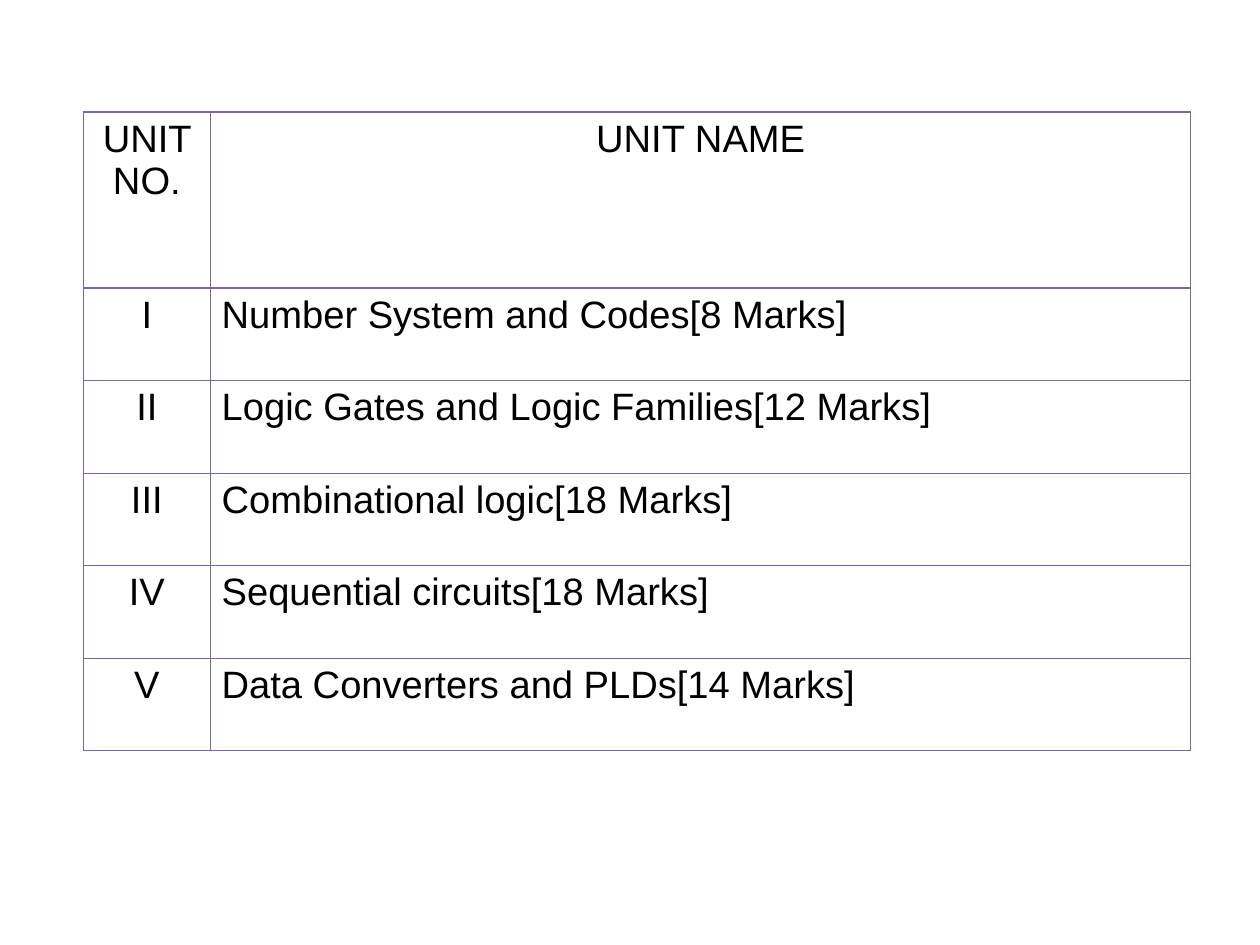
from dataclasses import dataclass

from lxml.etree import SubElement
from pptx import Presentation
from pptx.dml.color import RGBColor
from pptx.enum.text import PP_ALIGN as Align
from pptx.oxml.ns import qn
from pptx.util import Inches, Pt


@dataclass(frozen=True)
class Theme:
    font: str = "Arial"
    size: int = 24
    text: str = "000000"
    border: str = "8064A2"
    border_width: float = 0.75


THEME = Theme()
CM_PER_INCH = 2.54
PAGE_WIDTH_CM = 28
PAGE_HEIGHT_CM = 21
HEADINGS = ("UNIT NO.", "UNIT NAME")
UNITS = (
    ("I", "Number System and Codes[8 Marks]"),
    ("II", "Logic Gates and Logic Families[12 Marks]"),
    ("III", "Combinational logic[18 Marks]"),
    ("IV", "Sequential circuits[18 Marks]"),
    ("V", "Data Converters and PLDs[14 Marks]"),
)
COLUMN_WIDTHS = (1.11, 8.58)
HEADING_HEIGHT = 1.54
UNIT_HEIGHT = 0.81


def add_borders(cell):
    properties = cell._tc.get_or_add_tcPr()
    for index, side in enumerate(("a:lnL", "a:lnR", "a:lnT", "a:lnB")):
        line = properties.makeelement(
            qn(side), {"w": str(Pt(THEME.border_width))}
        )
        fill = SubElement(line, qn("a:solidFill"))
        SubElement(fill, qn("a:srgbClr"), val=THEME.border)
        properties.insert(index, line)


def fill_cell(cell, text, alignment):
    cell.text = text
    cell.fill.background()
    para = cell.text_frame.paragraphs[0]
    para.alignment = alignment
    para.font.name = THEME.font
    para.font.size = Pt(THEME.size)
    para.font.bold = False
    para.font.color.rgb = RGBColor.from_string(THEME.text)
    add_borders(cell)


def add_unit_table(page, left, top):
    rows = (HEADINGS, *UNITS)
    heights = [HEADING_HEIGHT] + [UNIT_HEIGHT] * len(UNITS)
    table = page.shapes.add_table(
        len(rows), len(COLUMN_WIDTHS), Inches(left), Inches(top),
        Inches(sum(COLUMN_WIDTHS)), Inches(sum(heights)),
    ).table
    table.first_row = False
    table.horz_banding = False
    for column, width in zip(table.columns, COLUMN_WIDTHS):
        column.width = Inches(width)
    for row, height, (number, name) in zip(table.rows, heights, rows):
        row.height = Inches(height)
        is_heading = name == HEADINGS[1]
        fill_cell(row.cells[0], number, Align.CENTER)
        fill_cell(row.cells[1], name,
                  Align.CENTER if is_heading else Align.JUSTIFY)


def main():
    deck = Presentation()
    deck.slide_width = Inches(PAGE_WIDTH_CM / CM_PER_INCH)
    deck.slide_height = Inches(PAGE_HEIGHT_CM / CM_PER_INCH)
    page = deck.slides.add_slide(deck.slide_layouts[6])
    add_unit_table(page, 0.73, 0.98)
    deck.save("out.pptx")


if __name__ == "__main__":
    main()
